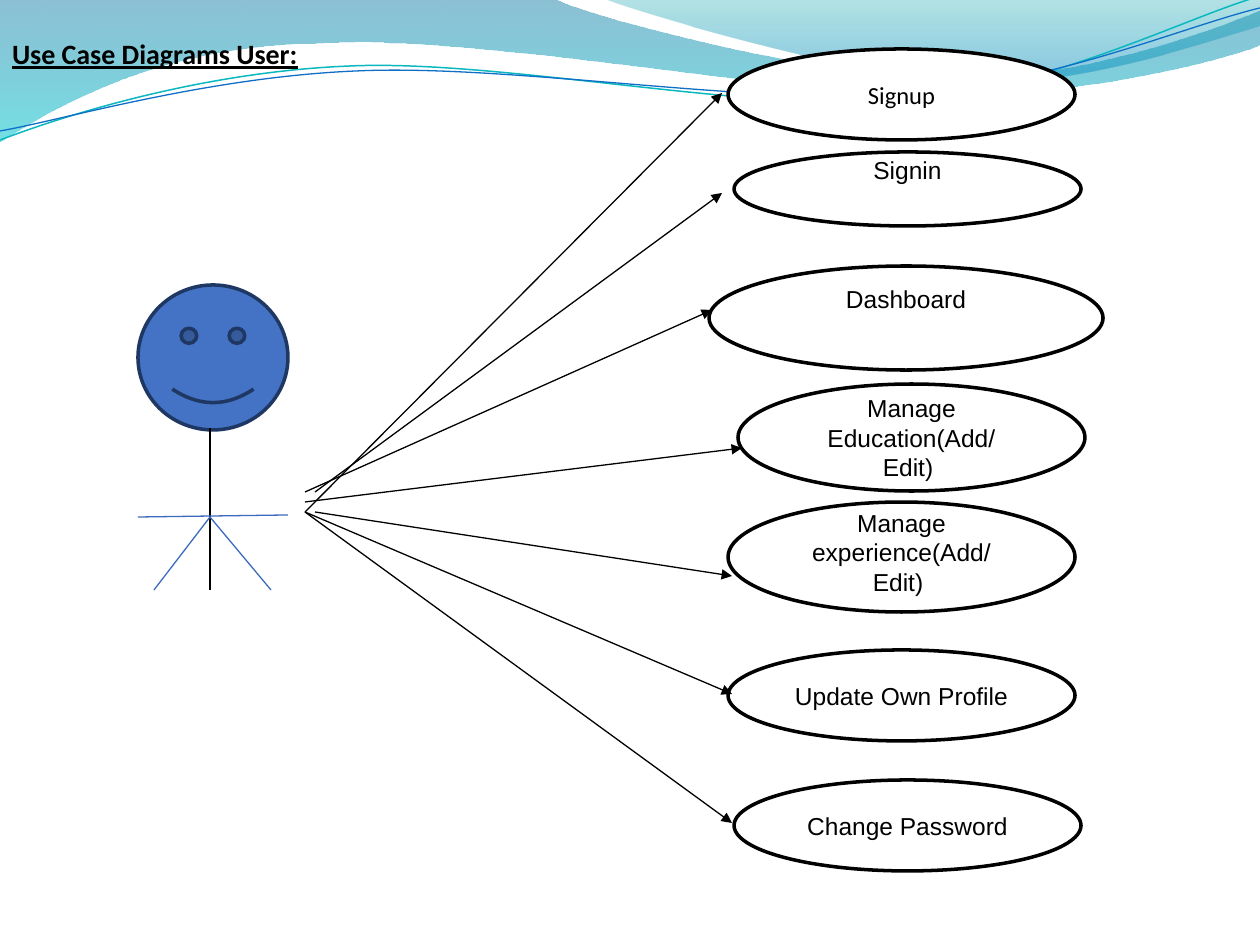
"""Builds a use case diagram slide with one actor and seven use cases."""
from itertools import chain
from lxml.etree import SubElement
from pptx import Presentation
from pptx.dml.color import RGBColor
from pptx.enum.shapes import MSO_CONNECTOR, MSO_SHAPE
from pptx.enum.text import MSO_ANCHOR, MSO_AUTO_SIZE, PP_ALIGN
from pptx.oxml.ns import qn
from pptx.util import Pt

PX = 914400 / 126
COLORS = {name: RGBColor.from_string(value) for name, value in {
    "black": "000000", "white": "FFFFFF", "face": "4472C4", "face_line": "1F3763",
    "limb": "3C6ABE", "teal": "0AB8BF", "blue": "0F6FC6", "deep": "0074A1",
    "aqua": "00C6CF", "sea": "00A1A9", "sky": "008BBF"}.items()}


def px(*values):
    return [round(v * PX) for v in values]


def add_curve(shapes, start, segments, closed):
    builder = shapes.build_freeform(*px(*start))
    builder.add_line_segments([px(*pt) for pt in chain(*segments)], close=closed)
    sp = builder.convert_to_shape()
    sp.shadow.inherit = False
    nodes = iter(list(sp._element.iter(qn("a:lnTo"))))
    for seg in segments:
        group = [next(nodes) for _ in seg]
        if len(group) == 3:
            bezier = group[0].makeelement(qn("a:cubicBezTo"))
            group[0].addprevious(bezier)
            for node in group:
                bezier.append(node[0])
                node.getparent().remove(node)
    return sp


prs = Presentation()
prs.slide_width, prs.slide_height = px(1260, 945)
s = prs.slides.add_slide(prs.slide_layouts[5])
shapes = s.shapes

waves = [
    ((0, -1), [[(554, -1)], [(600, 21), (837, 79), (955, 79)],
               [(1075, 79), (1207, 33), (1260, 11)], [(1261, 45)],
               [(1239, 55), (1096, 96), (940, 95)], [(784, 95), (481, 35), (324, 43)],
               [(163, 44), (58, 105), (-1, 142)]],
     [("deep", 0, 45), ("aqua", 1, 55)]),
    ((604, -1), [[(641, 14), (859, 78), (969, 82)], [(1079, 87), (1211, 40), (1260, 26)],
                 [(1260, 0)]],
     [("sea", 0, 30), ("sky", 0.8, 45)]),
]
for start, segments, stops in waves:
    sp = add_curve(shapes, start, segments, True)
    sp.line.fill.background()
    sp.fill.gradient()
    sp.fill.gradient_angle = 270
    for stop, (color, position, opacity) in zip(sp.fill.gradient_stops, stops):
        stop.position = position
        stop.color.rgb = COLORS[color]
    for clr, (_, _, opacity) in zip(sp._element.spPr.iter(qn("a:srgbClr")), stops):
        SubElement(clr, qn("a:alpha"), val=str(opacity * 1000))

strands = [
    ("teal", 0.85, (0, 140), [[(60, 117), (199, 72), (349, 66)],
                              [(498, 59), (747, 112), (898, 101)],
                              [(1050, 89), (1182, 19), (1257, -3)]]),
    ("blue", 0.75, (0, 131), [[(59, 121), (207, 77), (357, 71)],
                              [(508, 64), (752, 105), (903, 95)],
                              [(1053, 84), (1185, 26), (1260, 8)]]),
]
for color, width, start, segments in strands:
    sp = add_curve(shapes, start, segments, False)
    sp.fill.background()
    sp.line.color.rgb = COLORS[color]
    sp.line.width = Pt(width)

title = shapes.title
shapes._spTree.append(title._element)
title.left, title.top, title.width, title.height = px(0, 0, 413, 115)
tf = title.text_frame
tf.auto_size = MSO_AUTO_SIZE.NONE
tf.vertical_anchor = MSO_ANCHOR.MIDDLE
tf.margin_left, tf.margin_bottom = px(12, 14)
p = tf.paragraphs[0]
p.alignment = PP_ALIGN.LEFT
r = p.add_run()
r.text = "Use Case Diagrams User:"
r.font.name, r.font.size = "Calibri", Pt(16)
r.font.bold = r.font.underline = True
r.font.color.rgb = COLORS["black"]

face = shapes.add_shape(MSO_SHAPE.SMILEY_FACE, *px(138, 285, 150, 145))
face.shadow.inherit = False
face.fill.solid()
face.fill.fore_color.rgb = COLORS["face"]
face.line.color.rgb = COLORS["face_line"]
face.line.width = Pt(2)

use_cases = [
    ("Signup", "Calibri", (728, 49, 347, 91), 0),
    ("Signin", "Arial", (734, 152, 347, 74), 19),
    ("Dashboard", "Arial", (709, 266, 394, 104), 19),
    ("Manage Education(Add/ Edit) ", "Arial", (738, 384, 347, 107), 0),
    ("Manage experience(Add/ Edit) ", "Arial", (728, 502, 347, 110), 5),
    ("Update Own Profile", "Arial", (728, 650, 347, 91), 0),
    ("Change Password", "Arial", (734, 780, 347, 91), 0),
]
for label, font, box, lift in use_cases:
    sp = shapes.add_shape(MSO_SHAPE.OVAL, *px(*box))
    sp.shadow.inherit = False
    sp.fill.solid()
    sp.fill.fore_color.rgb = COLORS["white"]
    sp.line.color.rgb = COLORS["black"]
    sp.line.width = Pt(2)
    tf = sp.text_frame
    tf.word_wrap = True
    tf.vertical_anchor = MSO_ANCHOR.MIDDLE
    tf.margin_bottom, = px(6 + 2 * lift)
    p = tf.paragraphs[0]
    p.alignment = PP_ALIGN.CENTER
    r = p.add_run()
    r.text = label
    r.font.name, r.font.size = font, Pt(14)
    r.font.color.rgb = COLORS["black"]

body = [
    ("black", (210, 428, 210, 590), False),
    ("limb", (138, 517, 288, 515), False),
    ("limb", (210, 517, 154, 590), False),
    ("limb", (210, 517, 271, 590), False),
]
arrows = [("black", ends, True) for ends in [
    (305, 512, 732, 823), (305, 512, 732, 694), (315, 512, 732, 576), (305, 502, 742, 448),
    (305, 492, 712, 310), (315, 492, 722, 193), (305, 512, 722, 93)]]
for color, ends, arrow in body + arrows:
    line = shapes.add_connector(MSO_CONNECTOR.STRAIGHT, *px(*ends))
    line.line.color.rgb = COLORS[color]
    line.line.width = Pt(0.75)
    if arrow:
        SubElement(line.line._get_or_add_ln(), qn("a:tailEnd"), type="triangle")
    SubElement(line._element.spPr, qn("a:effectLst"))

prs.save("out.pptx")
